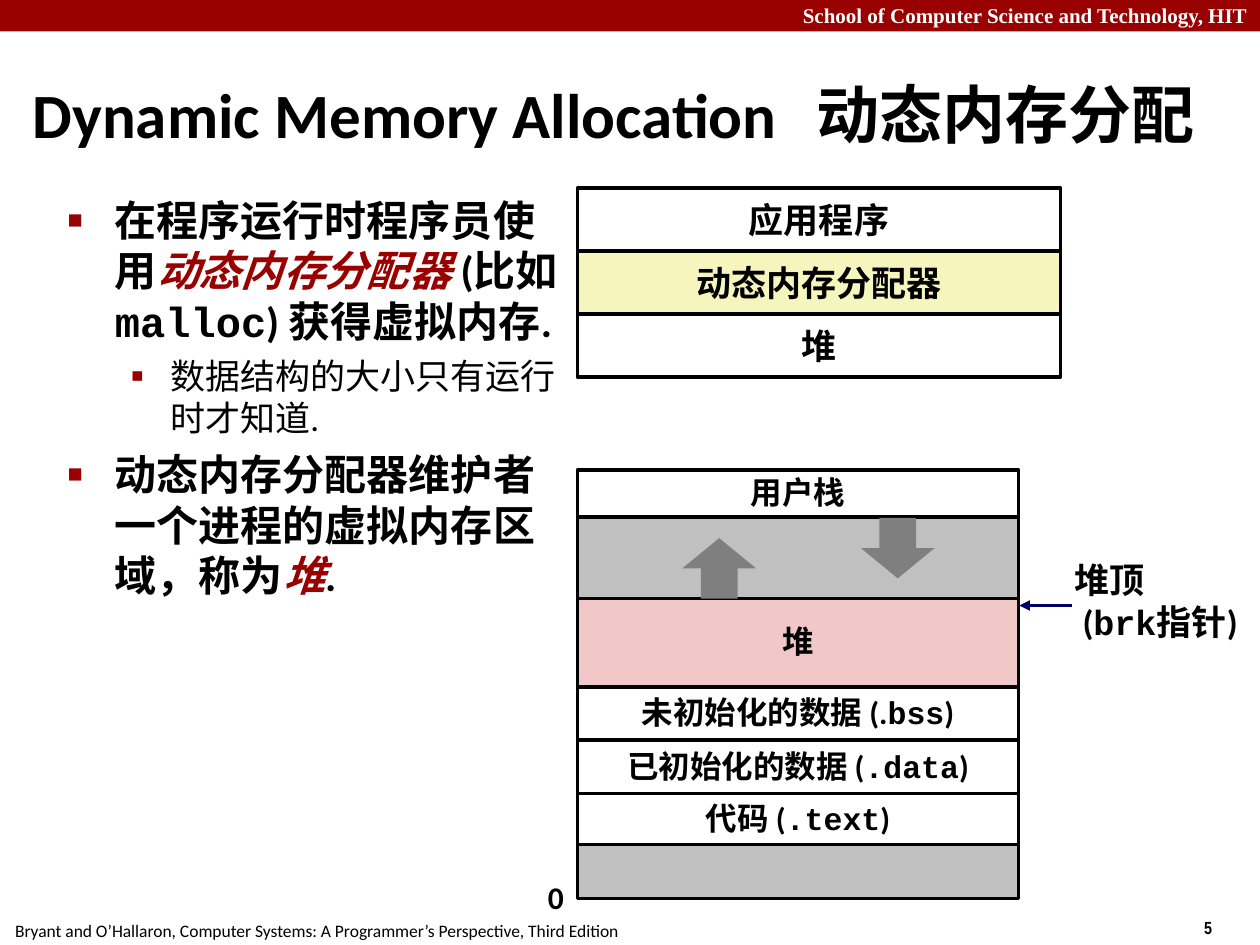
from dataclasses import dataclass

from lxml.etree import SubElement
from pptx import Presentation
from pptx.dml.color import RGBColor
from pptx.enum.shapes import MSO_CONNECTOR as Connector, MSO_SHAPE as Preset
from pptx.enum.text import MSO_ANCHOR as Anchor, MSO_AUTO_SIZE as AutoSize, PP_ALIGN as Align
from pptx.oxml.ns import qn
from pptx.util import Pt

COLORS = {
    "red": "990000", "black": "000000", "white": "FFFFFF", "gray": "C0C0C0",
    "arrow": "7F7F7F", "pink": "F1C7C7", "yellow": "F6F5BD", "navy": "000066",
}
SANS, MONO = "Calibri", "Courier New"


@dataclass(frozen=True)
class Run:
    text: str
    font: str = SANS
    color: str = "black"
    bold: bool = True
    italic: bool = False


@dataclass(frozen=True)
class Box:
    left: float
    top: float
    width: float
    height: float

    def lengths(self) -> list[Pt]:
        return [Pt(value) for value in (self.left, self.top, self.width, self.height)]


@dataclass(frozen=True)
class Row:
    height: float
    fill: str
    runs: tuple[Run, ...] = ()


@dataclass(frozen=True)
class Label:
    box: Box
    lines: tuple[tuple[Run, ...], ...]
    size: float
    align: Align = Align.LEFT
    wrap: bool = False
    spacing: float = 1.0


@dataclass(frozen=True)
class Bullet:
    runs: tuple[Run, ...]
    size: float
    level: int
    left: float
    hanging: float
    before: float
    symbol: str
    percent: int


def rgb(name: str) -> RGBColor:
    return RGBColor.from_string(COLORS[name])


def set_format(target, values: dict) -> None:
    for name, value in values.items():
        setattr(target, name, value)


def add_runs(paragraph, runs: tuple[Run, ...], size: float) -> None:
    for item in runs:
        run = paragraph.add_run()
        run.text = item.text
        set_format(run.font, {"name": item.font, "size": Pt(size),
                              "bold": item.bold, "italic": item.italic})
        run.font.color.rgb = rgb(item.color)


def place(shape, box: Box) -> None:
    for name, value in zip(("left", "top", "width", "height"), box.lengths()):
        setattr(shape, name, value)


def add_filled_shape(slide, preset: Preset, box: Box, fill: str, outlined: bool = False):
    shape = slide.shapes.add_shape(preset, *box.lengths())
    shape.shadow.inherit = False
    shape.fill.solid()
    shape.fill.fore_color.rgb = rgb(fill)
    if outlined:
        shape.line.color.rgb = rgb("black")
        shape.line.width = Pt(2)
    else:
        shape.line.fill.background()
    return shape


def add_stack(slide, left: float, top: float, width: float, rows: tuple[Row, ...],
              size: float, spacing: float) -> None:
    """Draw rows as touching rectangles, from the top down."""
    for row in rows:
        shape = add_filled_shape(slide, Preset.RECTANGLE,
                                 Box(left, top, width, row.height), row.fill, outlined=True)
        top += row.height
        if row.runs:
            set_format(shape.text_frame, {"word_wrap": False, "vertical_anchor": Anchor.MIDDLE})
            paragraph = shape.text_frame.paragraphs[0]
            set_format(paragraph, {"alignment": Align.CENTER, "line_spacing": spacing})
            add_runs(paragraph, row.runs, size)


def add_label(slide, label: Label) -> None:
    frame = slide.shapes.add_textbox(*label.box.lengths()).text_frame
    set_format(frame, {"word_wrap": label.wrap, "auto_size": AutoSize.SHAPE_TO_FIT_TEXT})
    for index, runs in enumerate(label.lines):
        paragraph = frame.add_paragraph() if index else frame.paragraphs[0]
        set_format(paragraph, {"alignment": label.align, "line_spacing": label.spacing})
        add_runs(paragraph, runs, label.size)


def fill_title(title) -> None:
    place(title, Box(11.5, 34.5, 695, 60))
    set_format(title.text_frame, {"word_wrap": True, "auto_size": AutoSize.NONE,
                                  "vertical_anchor": Anchor.MIDDLE})
    paragraph = title.text_frame.paragraphs[0]
    properties = paragraph._p.get_or_add_pPr()
    tabs = SubElement(properties, qn("a:tabLst"))
    SubElement(tabs, qn("a:tab"), pos=str(Pt(448)), algn="l")
    paragraph.alignment = Align.LEFT
    add_runs(paragraph, (Run("Dynamic Memory Allocation\t动态内存分配"),), 36)


def fill_body(body, bullets: tuple[Bullet, ...]) -> None:
    place(body, Box(31.5, 107.5, 298, 391.5))
    frame = body.text_frame
    set_format(frame, {"word_wrap": True, "auto_size": AutoSize.NONE,
                       "vertical_anchor": Anchor.TOP})
    for index, bullet in enumerate(bullets):
        paragraph = frame.add_paragraph() if index else frame.paragraphs[0]
        properties = paragraph._p.get_or_add_pPr()
        properties.set("marL", str(Pt(bullet.left)))
        properties.set("indent", str(-Pt(bullet.hanging)))
        color = SubElement(properties, qn("a:buClr"))
        SubElement(color, qn("a:srgbClr"), val=COLORS["red"])
        SubElement(properties, qn("a:buSzPct"), val=str(bullet.percent * 1000))
        SubElement(properties, qn("a:buFont"), typeface="Arial")
        SubElement(properties, qn("a:buChar"), char=bullet.symbol)
        set_format(paragraph, {"level": bullet.level, "alignment": Align.LEFT,
                               "space_before": Pt(bullet.before if index else 0)})
        add_runs(paragraph, bullet.runs, bullet.size)


def add_pointer(slide, start: float, end: float, y: float) -> None:
    connector = slide.shapes.add_connector(Connector.STRAIGHT, Pt(start), Pt(y), Pt(end), Pt(y))
    connector.line.color.rgb = rgb("navy")
    connector.line.width = Pt(2)
    SubElement(connector.line._get_or_add_ln(), qn("a:tailEnd"), type="triangle")
    SubElement(connector._element.spPr, qn("a:effectLst"))


def section(name: str, code: str, opening: str = " (") -> tuple[Run, ...]:
    return Run(name + opening), Run(code, MONO), Run(")")


def main_bullet(*runs: Run) -> Bullet:
    return Bullet(runs, 24, 0, 27, 27, 6, "■", 60)


BULLETS = (
    main_bullet(Run("在程序运行时程序员使用"), Run("动态内存分配器 ", color="red", italic=True),
                Run("(比如 "), Run("malloc", MONO), Run(") 获得虚拟内存.")),
    Bullet((Run("数据结构的大小只有运行时才知道.", bold=False),), 20, 1, 58.5, 22.5, 5, "▪", 110),
    main_bullet(Run("动态内存分配器维护者一个进程的虚拟内存区域，称为"),
                Run("堆", color="red", italic=True), Run(".")),
)
LAYERS = tuple(Row(36, fill, (Run(name),)) for name, fill in (
    ("应用程序", "white"), ("动态内存分配器", "yellow"), ("堆", "white")))
MEMORY = (
    Row(27, "white", (Run("用户栈"),)),
    Row(46.5, "gray"),
    Row(50.5, "pink", (Run("堆"),)),
    Row(30.5, "white", section("未初始化的数据", "bss", " (.")),
    Row(30.5, "white", section("已初始化的数据", ".data")),
    Row(29, "white", section("代码", ".text")),
    Row(31, "gray"),
)
CITATION = "Bryant and O’Hallaron, Computer Systems: A Programmer’s Perspective, Third Edition"
SCHOOL = "School of Computer Science and Technology, HIT"
LABELS = (
    Label(Box(0, -2, 720, 21.5), ((Run(SCHOOL, "Times New Roman", "white"),),), 12,
          Align.RIGHT, wrap=True),
    Label(Box(1.5, 522, 361, 19.5), ((Run(CITATION, bold=False),),), 10),
    Label(Box(681, 520.5, 54, 19.5), ((Run("5", "Arial Narrow"),),), 10),
    Label(Box(306, 499, 23, 29), ((Run("0"),),), 18, spacing=0.98),
    Label(Box(607, 317, 116.5, 54.5),
          ((Run("堆顶"),), (Run(" ("), Run("brk指针", MONO), Run(")"))), 20, spacing=0.98),
)


def main() -> None:
    presentation = Presentation()
    presentation.slide_width, presentation.slide_height = Pt(720), Pt(540)
    slide = presentation.slides.add_slide(presentation.slide_layouts[1])
    add_filled_shape(slide, Preset.RECTANGLE, Box(0, 0, 720, 18), "red")
    fill_title(slide.shapes.title)
    fill_body(slide.placeholders[1], BULLETS)
    add_stack(slide, 330, 268.5, 252, MEMORY, 18, 0.98)
    add_stack(slide, 330, 107.5, 276, LAYERS, 20, 1.0)
    add_filled_shape(slide, Preset.DOWN_ARROW, Box(492, 296, 42, 34.5), "arrow")
    add_filled_shape(slide, Preset.UP_ARROW, Box(390, 307.5, 42, 34.5), "arrow")
    add_pointer(slide, 612.5, 582.5, 346)
    for label in LABELS:
        add_label(slide, label)
    presentation.save("out.pptx")


if __name__ == "__main__":
    main()
